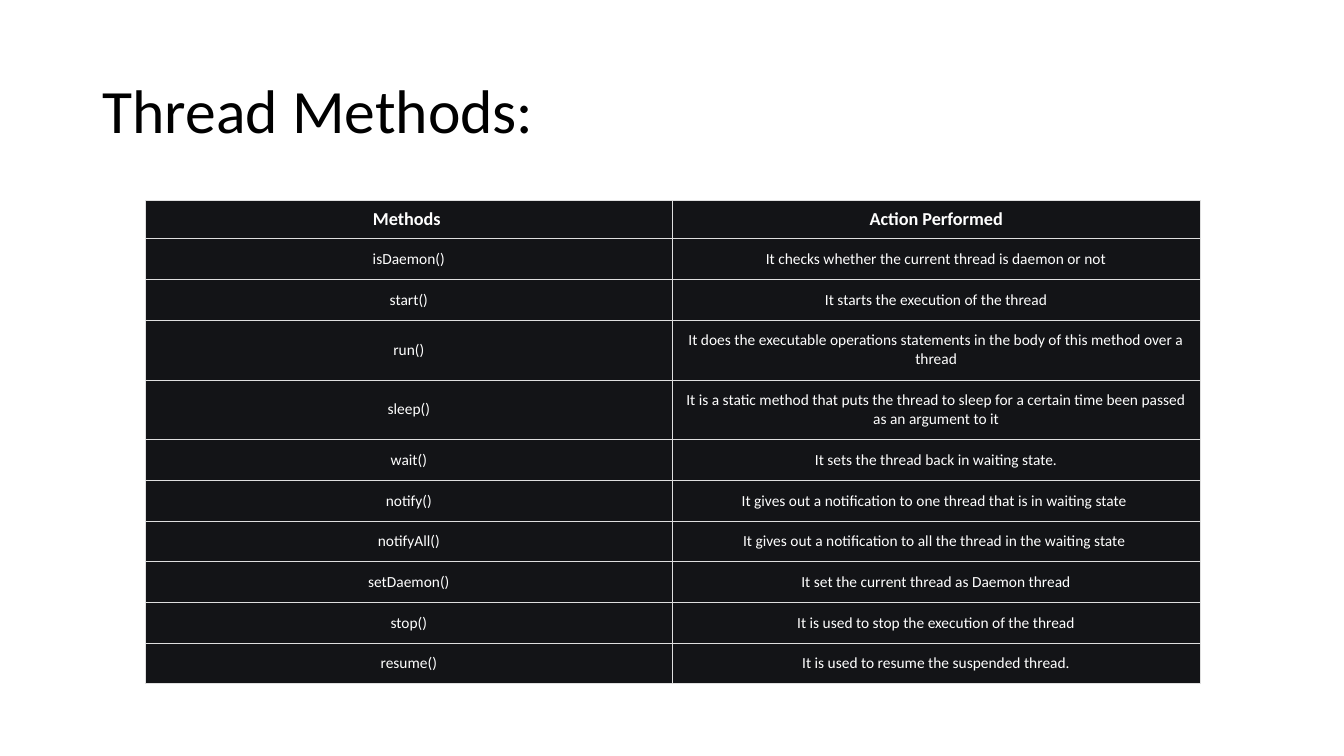
from dataclasses import dataclass

from lxml.etree import SubElement
from pptx import Presentation
from pptx.dml.color import RGBColor
from pptx.enum.text import MSO_ANCHOR, PP_ALIGN
from pptx.oxml.ns import qn
from pptx.slide import Slide
from pptx.table import _Cell
from pptx.text.text import _Paragraph
from pptx.util import Inches, Pt

COLORS = {"title": "000000", "cell": "131417", "text": "FFFFFF", "border": "DFDFDF"}
FONT = "Calibri"
SLIDE_WIDTH, SLIDE_HEIGHT = Inches(13.33), Inches(7.5)
BORDER_WIDTH = Pt(0.18)


@dataclass(frozen=True)
class Area:
    """A box given in percent of the slide's width and height."""

    left: float
    top: float
    width: float
    height: float

    def box(self) -> tuple[int, int, int, int]:
        """Return the box as slide lengths."""
        return across(self.left), down(self.top), across(self.width), down(self.height)


@dataclass(frozen=True)
class RowStyle:
    """The look of one kind of table row."""

    height: float
    size: int
    bold: bool
    padding: float


@dataclass(frozen=True)
class MethodRow:
    """A method with the action it performs."""

    method: str
    action: str
    style: RowStyle


HEADING = RowStyle(4.8, 13, True, 0.08)
SINGLE = RowStyle(5.37, 11, False, 0.11)
DOUBLE = RowStyle(7.91, 11, False, 0.11)

TITLE_AREA = Area(6.9, 5.33, 86.27, 19.33)
TABLE_AREA = Area(10.8, 26.53, 78.47, 63.47)

METHOD_ROWS = [
    MethodRow("Methods ", "Action Performed", HEADING),
    MethodRow("isDaemon()", "It checks whether the current thread is daemon or not", SINGLE),
    MethodRow("start()", "It starts the execution of the thread", SINGLE),
    MethodRow(
        "run()",
        "It does the executable operations statements in the body of this method over a thread",
        DOUBLE,
    ),
    MethodRow(
        "sleep()",
        "It is a static method that puts the thread to sleep for a certain time "
        "been passed as an argument to it",
        DOUBLE,
    ),
    MethodRow("wait()", "It sets the thread back in waiting state.", SINGLE),
    MethodRow(
        "notify()", "It gives out a notification to one thread that is in waiting state ", SINGLE
    ),
    MethodRow(
        "notifyAll()", "It gives out a notification to all the thread in the waiting state ", SINGLE
    ),
    MethodRow("setDaemon()", "It set the current thread as Daemon thread", SINGLE),
    MethodRow("stop()", "It is used to stop the execution of the thread", SINGLE),
    MethodRow("resume()", "It is used to resume the suspended thread.", SINGLE),
]


def across(percent: float) -> int:
    """Return a share of the slide's width."""
    return round(SLIDE_WIDTH * percent / 100)


def down(percent: float) -> int:
    """Return a share of the slide's height."""
    return round(SLIDE_HEIGHT * percent / 100)


def add_run(paragraph: _Paragraph, words: str, size: int, color: str, bold: bool = False) -> None:
    """Add one styled run to a paragraph."""
    run = paragraph.add_run()
    run.text = words
    run.font.name = FONT
    run.font.size = Pt(size)
    run.font.bold = bold
    run.font.color.rgb = RGBColor.from_string(COLORS[color])


def add_borders(cell: _Cell) -> None:
    """Draw a thin line on every side of a cell."""
    properties = cell._tc.get_or_add_tcPr()
    for side in ("a:lnL", "a:lnR", "a:lnT", "a:lnB"):
        line = SubElement(properties, qn(side), w=str(BORDER_WIDTH))
        fill = SubElement(line, qn("a:solidFill"))
        SubElement(fill, qn("a:srgbClr"), val=COLORS["border"])


def fill_cell(cell: _Cell, words: str, style: RowStyle, side_padding: float) -> None:
    """Style a table cell and write its words."""
    add_borders(cell)
    cell.fill.solid()
    cell.fill.fore_color.rgb = RGBColor.from_string(COLORS["cell"])
    cell.vertical_anchor = MSO_ANCHOR.MIDDLE
    cell.margin_left = cell.margin_right = Inches(side_padding)
    cell.margin_top = cell.margin_bottom = Inches(style.padding)
    paragraph = cell.text_frame.paragraphs[0]
    paragraph.alignment = PP_ALIGN.CENTER
    add_run(paragraph, words, style.size, "text", style.bold)


def add_title(slide: Slide, words: str) -> None:
    """Write the slide's title."""
    title = slide.shapes.add_textbox(*TITLE_AREA.box()).text_frame
    title.word_wrap = True
    title.vertical_anchor = MSO_ANCHOR.MIDDLE
    paragraph = title.paragraphs[0]
    paragraph.line_spacing = 0.9
    add_run(paragraph, words, 44, "title")


def add_methods(slide: Slide, method_rows: list[MethodRow]) -> None:
    """Draw the table of thread methods."""
    methods = slide.shapes.add_table(len(method_rows), 2, *TABLE_AREA.box()).table
    methods.horz_banding = False
    for table_row, entry in zip(methods.rows, method_rows):
        table_row.height = down(entry.style.height)
        method_cell, action_cell = table_row.cells
        method_padding = 0.04 if entry.style is HEADING else 0.08
        fill_cell(method_cell, entry.method, entry.style, method_padding)
        fill_cell(action_cell, entry.action, entry.style, 0.08)


def main() -> None:
    """Build and save the slide."""
    deck = Presentation()
    deck.slide_width, deck.slide_height = SLIDE_WIDTH, SLIDE_HEIGHT
    slide = deck.slides.add_slide(deck.slide_layouts[6])
    add_title(slide, "Thread Methods:")
    add_methods(slide, METHOD_ROWS)
    deck.save("out.pptx")


if __name__ == "__main__":
    main()
